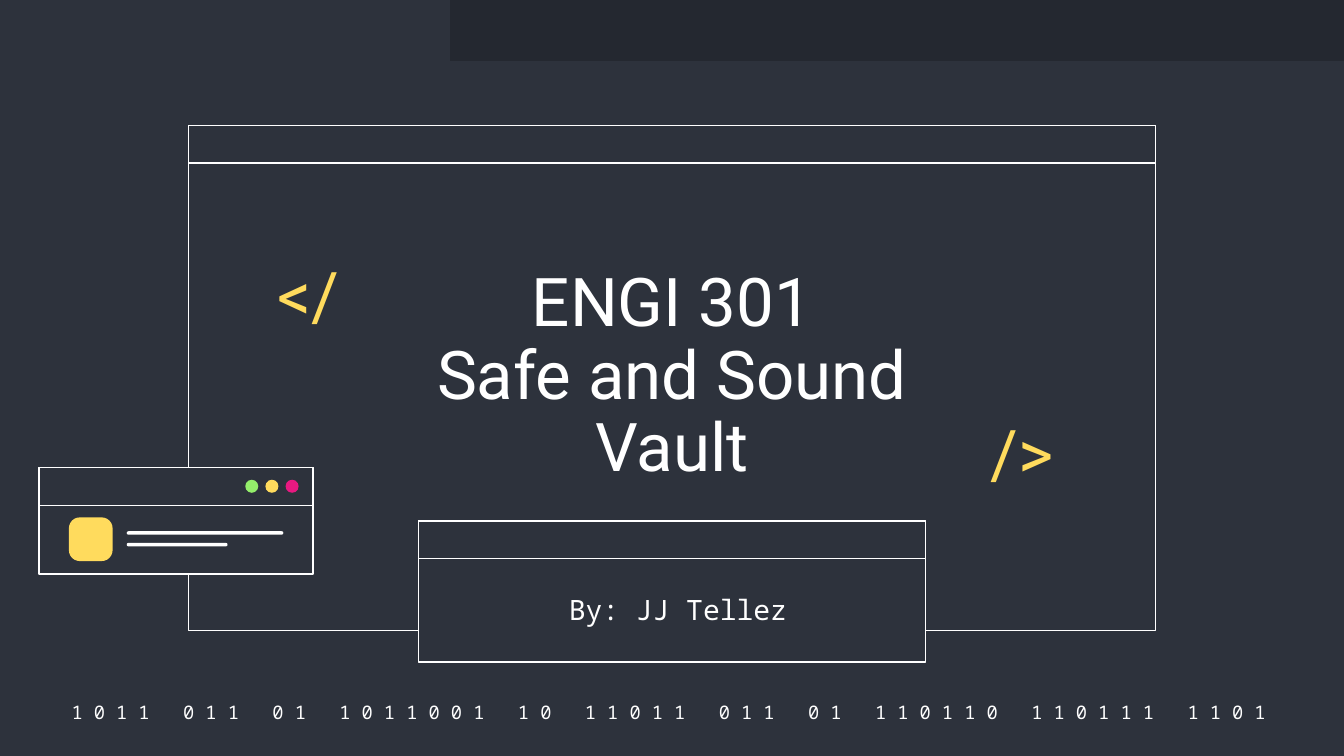
from pptx import Presentation
from pptx.dml.color import RGBColor
from pptx.enum.shapes import MSO_SHAPE
from pptx.enum.text import MSO_ANCHOR, MSO_AUTO_SIZE, PP_ALIGN
from pptx.util import Inches, Pt

HUES = {
    "back": "2D323C", "dark": "242830", "white": "FFFFFF",
    "gold": "FFDB5D", "green": "94EE6B", "pink": "E81981",
}
SANS, MONO = "Roboto", "Noto Sans Mono"
BITS = "1011 011 01 1011001 10 11011 011 01 110110 110111 1101"
COLS = 100


class Deck:
    def __init__(self, wide):
        self.prs = Presentation()
        self.prs.slide_width = Inches(wide)
        self.prs.slide_height = Inches(wide) * 9 // 16
        self.unit = self.prs.slide_width / COLS
        self.slide = self.prs.slides.add_slide(self.prs.slide_layouts[5])
        fill = self.slide.background.fill
        fill.solid()
        fill.fore_color.rgb = self.hue("back")

    def hue(self, name):
        return RGBColor.from_string(HUES[name])

    def span(self, *cells):
        return [round(cell * self.unit) for cell in cells]

    def shape(self, kind, box, fill, line=None, bend=None):
        item = self.slide.shapes.add_shape(kind, *self.span(*box))
        item.shadow.inherit = False
        item.fill.solid()
        item.fill.fore_color.rgb = self.hue(fill)
        if line:
            item.line.color.rgb = self.hue(line)
            item.line.width = Pt(0.75)
        else:
            item.line.fill.background()
        if bend is not None:
            item.adjustments[0] = bend

    def window(self, left, top, wide, high, bar=2.8):
        for tall in (high, bar):
            self.shape(MSO_SHAPE.RECTANGLE, (left, top, wide, tall), "back", "white")

    def round(self, box, fill, bend):
        self.shape(MSO_SHAPE.ROUNDED_RECTANGLE, box, fill, bend=bend)

    def style(self, frame, text, size, font, tint, align, lead):
        frame.text = text
        frame.word_wrap = True
        frame.auto_size = MSO_AUTO_SIZE.NONE
        frame.vertical_anchor = MSO_ANCHOR.MIDDLE
        frame.margin_left = frame.margin_right = Inches(0.1)
        frame.margin_top = frame.margin_bottom = Inches(0.1)
        for para in frame.paragraphs:
            para.alignment = align
            para.line_spacing = lead
            para.space_before = Pt(0)
            for run in para.runs:
                run.font.size = Pt(size)
                run.font.name = font
                run.font.color.rgb = self.hue(tint)

    def text(self, box, text, size, font, tint="white", align=PP_ALIGN.CENTER, lead=1.0):
        item = self.slide.shapes.add_textbox(*self.span(*box))
        self.style(item.text_frame, text, size, font, tint, align, lead)

    def title(self, box, text, size):
        item = self.slide.shapes.title
        item.left, item.top, item.width, item.height = self.span(*box)
        self.style(item.text_frame, text, size, SANS, "white", PP_ALIGN.CENTER, 0.9)
        self.slide.shapes._spTree.append(item._element)


def main():
    deck = Deck(10)
    bits = "   ".join(" ".join(word) for word in BITS.split()) + " "
    deck.text((3.8, 52, 92.7, 2), bits, 10, MONO)
    deck.shape(MSO_SHAPE.RECTANGLE, (33.5, 0, 66.5, 4.53), "dark")

    deck.window(14.04, 9.33, 71.92, 37.58)
    deck.window(31.14, 38.77, 37.72, 10.5)
    for left, top, tag in ((19.64, 18.95, "</"), (72.73, 30.7, "/>")):
        deck.text((left, top, 7.7, 6.6), tag, 36, SANS, "gold", PP_ALIGN.LEFT, 0.9)
    deck.title((27.3, 18.95, 45.4, 18.3), "ENGI 301\nSafe and Sound Vault", 36)
    deck.text((33.8, 42.4, 33.3, 5.8), "By: JJ Tellez", 15, MONO)

    deck.window(2.9, 34.8, 20.4, 7.9)
    deck.round((5.13, 38.5, 3.25, 3.25), "gold", 0.25)
    for top, wide in ((39.53, 11.65), (40.4, 7.5)):
        deck.round((9.43, top, wide, 0.25), "white", 0.5)
    for step, tint in enumerate(("green", "gold", "pink")):
        deck.shape(MSO_SHAPE.OVAL, (18.25 + 1.5 * step, 35.7, 0.97, 0.97), tint)

    deck.prs.save("out.pptx")


if __name__ == "__main__":
    main()
